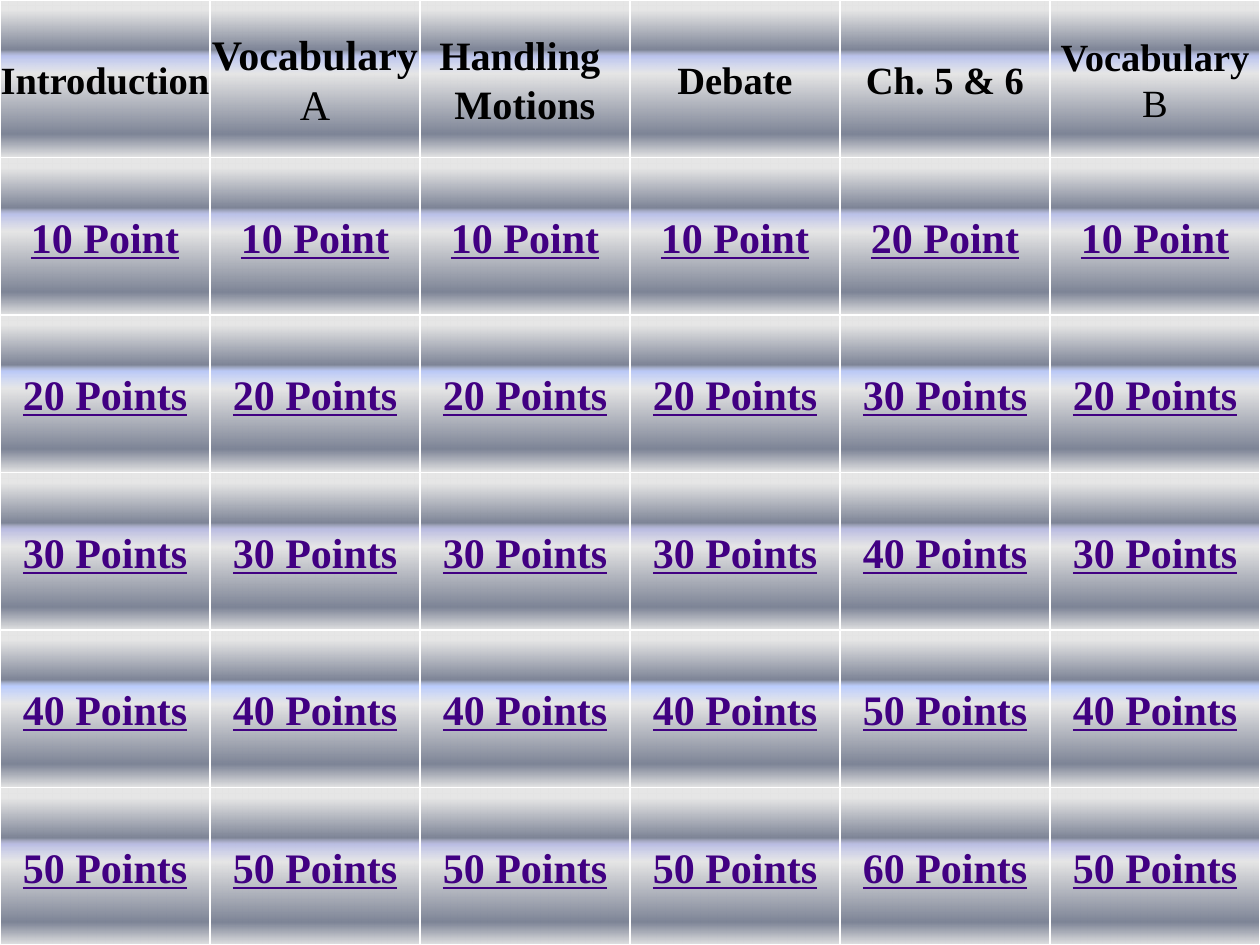
from dataclasses import dataclass

from lxml.etree import SubElement
from pptx import Presentation
from pptx.dml.color import RGBColor
from pptx.enum.shapes import MSO_SHAPE
from pptx.enum.text import MSO_ANCHOR, PP_ALIGN
from pptx.oxml.ns import qn
from pptx.util import Inches, Pt


@dataclass(frozen=True)
class Theme:
    font: str = "Times New Roman"
    heading: str = "000000"
    points: str = "410082"
    border: str = "FFFFFF"
    border_width: float = 0.75
    points_size: int = 24
    # Gradient stops: position %, colour, opacity %
    metal: tuple = ((7, "E6E6E6", 100), (32, "7D8496", 100), (36, "FFFFFF", 73),
                    (47, "E6E6E6", 100), (85, "7D8496", 100), (100, "E6E6E6", 100))
    backdrop: tuple = tuple(
        (position, ("000082", "0047FF")[i % 2], 100)
        for i, position in enumerate((0, 13, 28, 43, 58, 72, 87, 100)))


class Board:
    def __init__(self, slide, theme):
        self.slide = slide
        self.theme = theme

    def gradient(self, fill, owner, stops):
        """Fill from top to bottom; owner is the XML element that holds the fill."""
        fill.gradient()
        fill.gradient_angle = 270
        stop_list = next(owner.iter(qn("a:gsLst")))
        stop_list[:] = []
        for position, color, opacity in stops:
            stop = SubElement(stop_list, qn("a:gs"), pos=str(position * 1000))
            rgb = SubElement(stop, qn("a:srgbClr"), val=color)
            if opacity < 100:
                SubElement(rgb, qn("a:alpha"), val=str(opacity * 1000))

    def background(self):
        self.gradient(self.slide.background.fill, self.slide.element, self.theme.backdrop)

    def button(self, left, top, width, height):
        button = self.slide.shapes.add_shape(
            MSO_SHAPE.ACTION_BUTTON_CUSTOM,
            Inches(left), Inches(top), Inches(width), Inches(height))
        button.shadow.inherit = False
        self.gradient(button.fill, button.element, self.theme.metal)
        button.line.color.rgb = RGBColor.from_string(self.theme.border)
        button.line.width = Pt(self.theme.border_width)
        button.text_frame.word_wrap = False
        button.text_frame.vertical_anchor = MSO_ANCHOR.MIDDLE
        return button

    def label(self, button, lines, size, color, underline=False):
        """Write (text, bold) lines in the middle of a button."""
        frame = button.text_frame
        for i, (text, bold) in enumerate(lines):
            paragraph = frame.add_paragraph() if i else frame.paragraphs[0]
            paragraph.text = text
            paragraph.alignment = PP_ALIGN.CENTER
            font = paragraph.font
            font.name = self.theme.font
            font.size = Pt(size)
            font.bold = bold
            font.underline = underline
            font.color.rgb = RGBColor.from_string(color)


# Each category: heading lines (text, bold), heading size, first point value
CATEGORIES = [
    ([("Introduction", True)], 22, 10),
    ([("Vocabulary", True), ("A", False)], 24, 10),
    ([("Handling ", True), ("Motions", True)], 23, 10),
    ([("Debate", True)], 22, 10),
    ([("Ch. 5 & 6", True)], 22, 20),
    ([("Vocabulary", True), ("B", False)], 22, 10),
]
QUESTIONS = 5
STEP = 10
BOARD_WIDTH, BOARD_HEIGHT = 10, 7.5


def main():
    presentation = Presentation()
    presentation.slide_width = Inches(BOARD_WIDTH)
    presentation.slide_height = Inches(BOARD_HEIGHT)
    theme = Theme()
    board = Board(presentation.slides.add_slide(presentation.slide_layouts[6]), theme)
    board.background()

    width = BOARD_WIDTH / len(CATEGORIES)
    height = BOARD_HEIGHT / (QUESTIONS + 1)
    for column, (heading, heading_size, first_value) in enumerate(CATEGORIES):
        left = column * width

        # Category heading
        board.label(board.button(left, 0, width, height), heading, heading_size, theme.heading)

        # Point values, the first row in the singular
        for question in range(QUESTIONS):
            unit = "Points" if question else "Point"
            value = f"{first_value + question * STEP} {unit}"
            cell = board.button(left, (question + 1) * height, width, height)
            board.label(cell, [(value, True)], theme.points_size, theme.points, underline=True)

    presentation.save("out.pptx")


if __name__ == "__main__":
    main()
